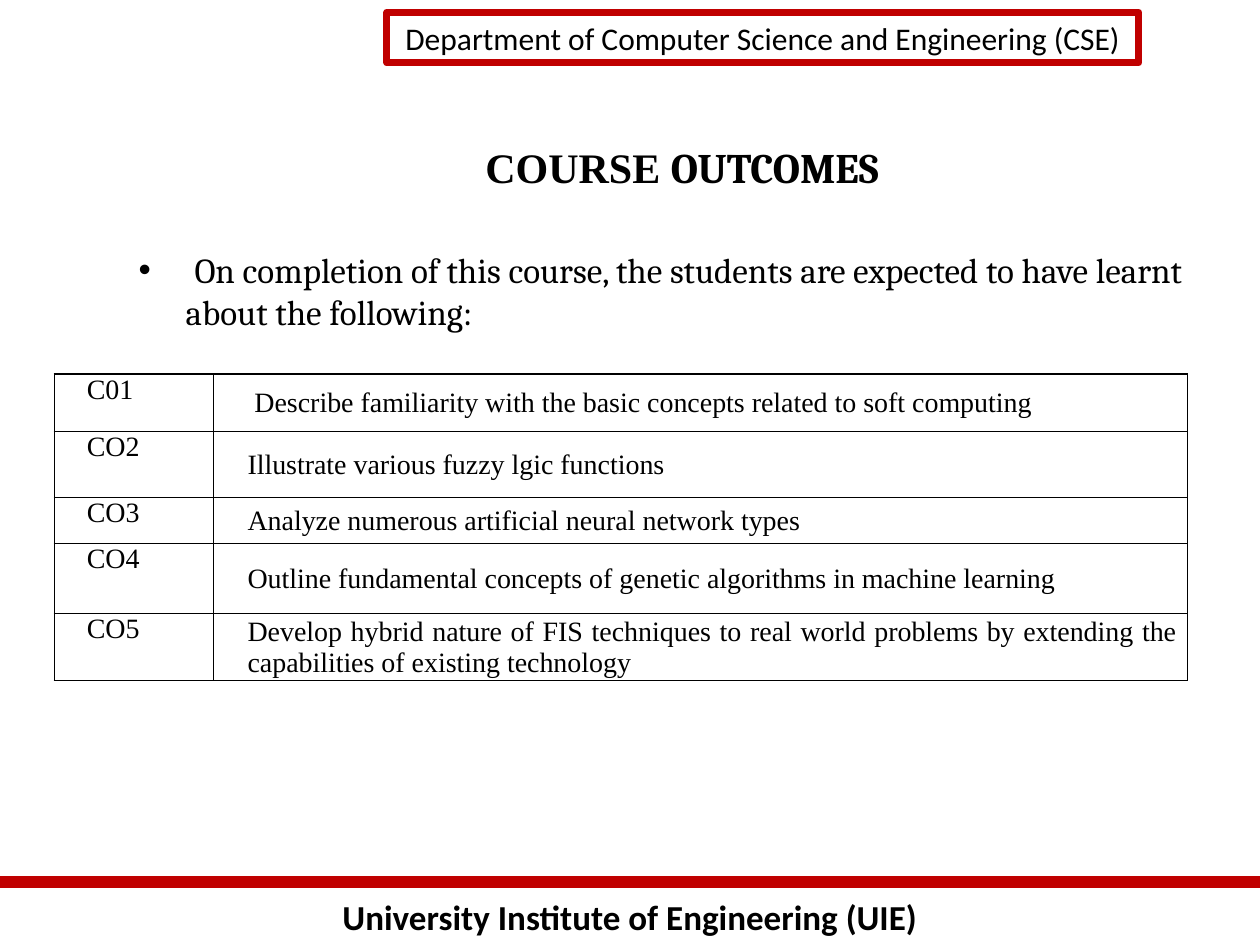
from lxml.etree import SubElement
from pptx import Presentation
from pptx.dml.color import RGBColor
from pptx.enum.shapes import MSO_CONNECTOR, MSO_SHAPE
from pptx.enum.text import MSO_ANCHOR, MSO_AUTO_SIZE, PP_ALIGN
from pptx.oxml.ns import qn
from pptx.util import Cm, Pt

BLACK = RGBColor(0, 0, 0)
WHITE = RGBColor(255, 255, 255)
RED = RGBColor(0xC0, 0, 0)
SERIF = "Times New Roman"

OUTCOMES = [
    ("C01", "Describe familiarity with the basic concepts related to soft computing", 1.16, 0.62),
    ("CO2", "Illustrate various fuzzy lgic functions", 1.33, 0.48),
    ("CO3", "Analyze numerous artificial neural network types", 0.93, 0.48),
    ("CO4", "Outline fundamental concepts of genetic algorithms in machine learning", 1.41, 0.48),
    ("CO5", "Develop hybrid nature of FIS techniques to real world problems by extending "
            "the capabilities of existing technology", 1.25, 0.48),
]


def place(shape, left, top, width, height):
    shape.left, shape.top = Cm(left), Cm(top)
    shape.width, shape.height = Cm(width), Cm(height)


def format_run(run, size, name, bold=False):
    run.font.size = Pt(size)
    run.font.name = name
    run.font.bold = bold
    run.font.color.rgb = BLACK


def add_runs(paragraph, parts, size, bold=False):
    for text, name in parts:
        run = paragraph.add_run()
        run.text = text
        format_run(run, size, name, bold)


def set_indent(paragraph, left, first=0):
    properties = paragraph._p.get_or_add_pPr()
    properties.set("marL", str(Cm(left)))
    properties.set("indent", str(Cm(first)))


def add_label(shape, text, size, bold=False):
    frame = shape.text_frame
    frame.word_wrap = True
    frame.text = text
    paragraph = frame.paragraphs[0]
    paragraph.alignment = PP_ALIGN.CENTER
    format_run(paragraph.runs[0], size, "Calibri", bold)


def add_header(slide):
    header = slide.shapes.add_shape(
        MSO_SHAPE.RECTANGLE, Cm(7.8), Cm(0.25), Cm(15.16), Cm(1.02))
    header.shadow.inherit = False
    header.fill.background()
    header.line.color.rgb = RED
    header.line.width = Pt(4)
    add_label(header, "Department of Computer Science and Engineering (CSE)", 18)


def add_footer(slide):
    rule = slide.shapes.add_connector(
        MSO_CONNECTOR.STRAIGHT, 0, Cm(17.78), Cm(25.4), Cm(17.78))
    rule.line.color.rgb = RED
    rule.line.width = Pt(7)
    SubElement(rule._element.spPr, qn("a:effectLst"))
    footer = slide.shapes.add_textbox(0, Cm(17.93), Cm(25.4), Cm(1.12))
    add_label(footer, "University Institute of Engineering (UIE)", 20, True)


def fill_title(title):
    place(title, 2.74, 2.72, 22.02, 1.7)
    frame = title.text_frame
    frame.auto_size = MSO_AUTO_SIZE.NONE
    frame.vertical_anchor = MSO_ANCHOR.TOP
    paragraph = frame.paragraphs[0]
    paragraph.alignment = PP_ALIGN.CENTER
    add_runs(paragraph, [("COURSE ", SERIF), ("OUTCOMES", "Cambria")], 24, True)


def fill_body(body):
    place(body, 2.54, 4.88, 22.22, 12.5)
    frame = body.text_frame
    frame.auto_size = MSO_AUTO_SIZE.NONE
    paragraph = frame.paragraphs[0]
    paragraph.space_before = Pt(0)
    set_indent(paragraph, 0.95, -0.95)
    add_runs(paragraph, [
        (" ", SERIF),
        ("On completion of this course, the students are expected to have "
         "learnt about the following:", "Cambria"),
    ], 20)


def set_borders(cell):
    properties = cell._tc.get_or_add_tcPr()
    for side in ("a:lnL", "a:lnR", "a:lnT", "a:lnB"):
        line = SubElement(properties, qn(side), w=str(Pt(0.75)))
        fill = SubElement(line, qn("a:solidFill"))
        SubElement(fill, qn("a:srgbClr"), val=str(BLACK))


def fill_cell(cell, text, anchor, margin, indent):
    set_borders(cell)
    cell.fill.background()
    cell.vertical_anchor = anchor
    cell.margin_left = cell.margin_right = Cm(margin)
    cell.margin_top = cell.margin_bottom = 0
    paragraph = cell.text_frame.paragraphs[0]
    paragraph.alignment = PP_ALIGN.JUSTIFY
    set_indent(paragraph, indent)
    add_runs(paragraph, [(text, SERIF)], 16)


def add_outcomes(slide):
    total = sum(row[2] for row in OUTCOMES)
    table = slide.shapes.add_table(
        len(OUTCOMES), 2, Cm(1.09), Cm(7.54), Cm(22.84), Cm(total)).table
    table.first_row = table.horz_banding = False
    table.columns[0].width = Cm(3.22)
    table.columns[1].width = Cm(19.62)
    for row, (code, outcome, height, indent) in zip(table.rows, OUTCOMES):
        row.height = Cm(height)
        fill_cell(row.cells[0], code, MSO_ANCHOR.TOP, 0.18, 0.48)
        fill_cell(row.cells[1], outcome, MSO_ANCHOR.MIDDLE, 0.2, indent)


def main():
    presentation = Presentation()
    presentation.slide_width, presentation.slide_height = Cm(25.4), Cm(19.05)
    slide = presentation.slides.add_slide(presentation.slide_layouts[1])
    slide.background.fill.solid()
    slide.background.fill.fore_color.rgb = WHITE
    add_footer(slide)
    add_header(slide)
    fill_title(slide.shapes.title)
    fill_body(slide.placeholders[1])
    add_outcomes(slide)
    presentation.save("out.pptx")


if __name__ == "__main__":
    main()
